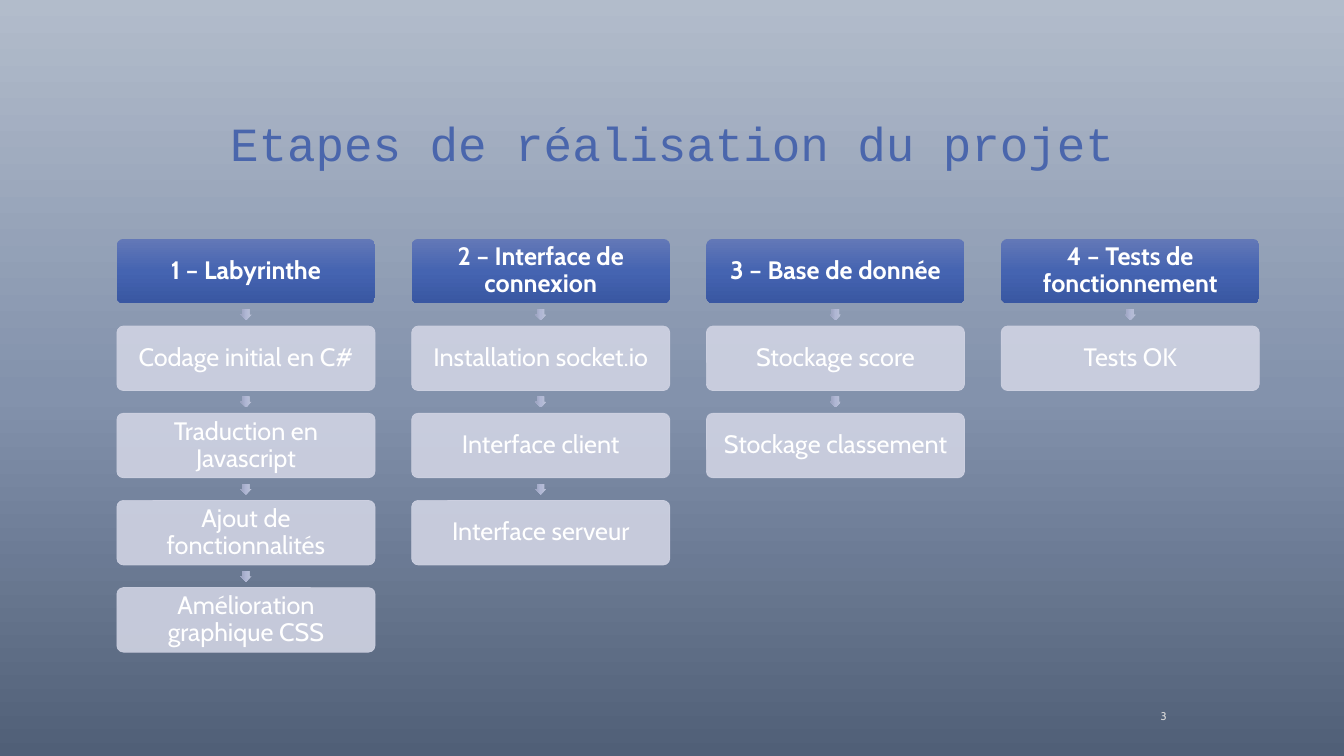
from dataclasses import dataclass

from lxml import etree
from pptx import Presentation
from pptx.dml.color import RGBColor
from pptx.enum.shapes import MSO_SHAPE
from pptx.enum.text import MSO_ANCHOR, MSO_AUTO_SIZE, PP_ALIGN
from pptx.oxml.ns import qn
from pptx.util import Inches, Pt

ROUNDED = MSO_SHAPE.ROUNDED_RECTANGLE
ARROW = MSO_SHAPE.RIGHT_ARROW
CENTER, RIGHT = PP_ALIGN.CENTER, PP_ALIGN.RIGHT
MIDDLE, BOTTOM = MSO_ANCHOR.MIDDLE, MSO_ANCHOR.BOTTOM
NO_AUTOFIT = MSO_AUTO_SIZE.NONE


@dataclass(frozen=True)
class Theme:
    title_font: str = "Courier New"
    body_font: str = "Cabin"
    title_size: float = 34
    step_size: float = 18
    number_size: float = 8
    title_color: str = "4A66AC"
    step_text: str = "FFFFFF"
    number_color: str = "D9D9D9"
    step_fill: str = "D0D3E3"
    step_opacity: int = 90
    backdrop: tuple = ((0, "505F77"), (48, "8392AC"), (100, "B2BCCB"))
    header: tuple = ((0, "6378B7"), (50, "4564B1"), (100, "3957A2"))
    arrow: tuple = ((0, "BBC1D8"), (50, "B0B7D4"), (100, "9AA1BF"))


THEME = Theme()

PHASES = [
    ("1 – Labyrinthe", ["Codage initial en C#", "Traduction en Javascript",
                        "Ajout de fonctionnalités", "Amélioration graphique CSS"]),
    ("2 – Interface de connexion", ["Installation socket.io", "Interface client",
                                    "Interface serveur"]),
    ("3 – Base de donnée", ["Stockage score", "Stockage classement"]),
    ("4 – Tests de fonctionnement", ["Tests OK"]),
]


def write(shape, text, size, color, font=THEME.body_font, bold=False,
          align=CENTER, anchor=MIDDLE, spacing=0.9, inset=None):
    frame = shape.text_frame
    frame.word_wrap = True
    frame.auto_size = NO_AUTOFIT
    frame.vertical_anchor = anchor
    if inset is not None:
        frame.margin_left = frame.margin_right = Inches(inset)
        frame.margin_top = frame.margin_bottom = Inches(inset)
    paragraph = frame.paragraphs[0]
    paragraph.alignment = align
    paragraph.line_spacing = spacing
    run = paragraph.add_run()
    run.text = text
    run.font.name = font
    run.font.size = Pt(size)
    run.font.bold = bold
    run.font.color.rgb = RGBColor.from_string(color)


def apply_gradient(fill, owner, stops, angle):
    fill.background()
    empty_fill = owner.find(qn("a:noFill"))
    gradient = etree.Element(qn("a:gradFill"), rotWithShape="1")
    stop_list = etree.SubElement(gradient, qn("a:gsLst"))
    for position, color in stops:
        stop = etree.SubElement(stop_list, qn("a:gs"), pos=str(position * 1000))
        etree.SubElement(stop, qn("a:srgbClr"), val=color)
    etree.SubElement(gradient, qn("a:lin"), ang=str(angle * 60000), scaled="0")
    owner.replace(empty_fill, gradient)


def apply_translucent(fill_format, color, opacity):
    fill_format.solid()
    fill_format.fore_color.rgb = RGBColor.from_string(color)


def add_plain_shape(slide, preset, left, top, width, height, adjustments):
    shape = slide.shapes.add_shape(
        preset, Inches(left), Inches(top), Inches(width), Inches(height))
    shape.shadow.inherit = False
    shape.line.fill.background()
    for index, value in enumerate(adjustments):
        shape.adjustments[index] = value
    return shape


def add_card(slide, text, left, top, width, height, is_header):
    card = add_plain_shape(slide, ROUNDED, left, top, width, height, [0.1])
    properties = card.element.spPr
    if is_header:
        apply_gradient(card.fill, properties, THEME.header, 90)
    else:
        card.line.width = Pt(0.5)
        for fill in (card.fill, card.line.fill):
            apply_translucent(fill, THEME.step_fill, THEME.step_opacity)
        for color in properties.iter(qn("a:srgbClr")):
            etree.SubElement(color, qn("a:alpha"), val=str(THEME.step_opacity * 1000))
    write(card, text, THEME.step_size, THEME.step_text, bold=is_header, inset=0.03)


def add_arrow(slide, center_x, center_y, size=0.11):
    arrow = add_plain_shape(slide, ARROW, center_x - size / 2, center_y - size / 2,
                            size, size, [0.667, 0.5])
    arrow.rotation = 90
    apply_gradient(arrow.fill, arrow.element.spPr, THEME.arrow, 90)


def add_phase(slide, header, steps, left, top, width, card_height, pitch):
    gap = pitch - card_height
    for row, text in enumerate([header, *steps]):
        card_top = top + row * pitch
        if row:
            add_arrow(slide, left + width / 2, card_top - gap / 2)
        add_card(slide, text, left, card_top, width, card_height, row == 0)


def add_phases(slide, left, top, width, height):
    card_width, card_height = 2.56, 0.64
    column_pitch = (width - card_width) / (len(PHASES) - 1)
    row_pitch = (height - card_height) / max(len(steps) for _, steps in PHASES)
    for column, (header, steps) in enumerate(PHASES):
        add_phase(slide, header, steps, left + column * column_pitch, top,
                  card_width, card_height, row_pitch)


def add_title(slide, left, top, width, height):
    title = slide.shapes.title
    title.left, title.top = Inches(left), Inches(top)
    title.width, title.height = Inches(width), Inches(height)
    write(title, "Etapes de réalisation du projet", THEME.title_size,
          THEME.title_color, font=THEME.title_font, anchor=BOTTOM)


def add_page_number(slide, left, top, width, height):
    number = slide.shapes.add_textbox(
        Inches(left), Inches(top), Inches(width), Inches(height))
    write(number, "3", THEME.number_size, THEME.number_color, align=RIGHT, spacing=1.0)


def add_backdrop(slide):
    fill = slide.background.fill
    fill.background()
    owner = next(slide.element.iter(qn("p:bgPr")))
    apply_gradient(fill, owner, THEME.backdrop, 270)


def main():
    deck = Presentation()
    deck.slide_width, deck.slide_height = Inches(13.33), Inches(7.5)
    slide = deck.slides.add_slide(deck.slide_layouts[5])
    add_backdrop(slide)
    add_title(slide, 1.67, 0.5, 10, 1.25)
    add_phases(slide, 1.16, 2.37, 11.33, 4.1)
    add_page_number(slide, 10.75, 6.96, 0.92, 0.28)
    deck.save("out.pptx")


if __name__ == "__main__":
    main()
